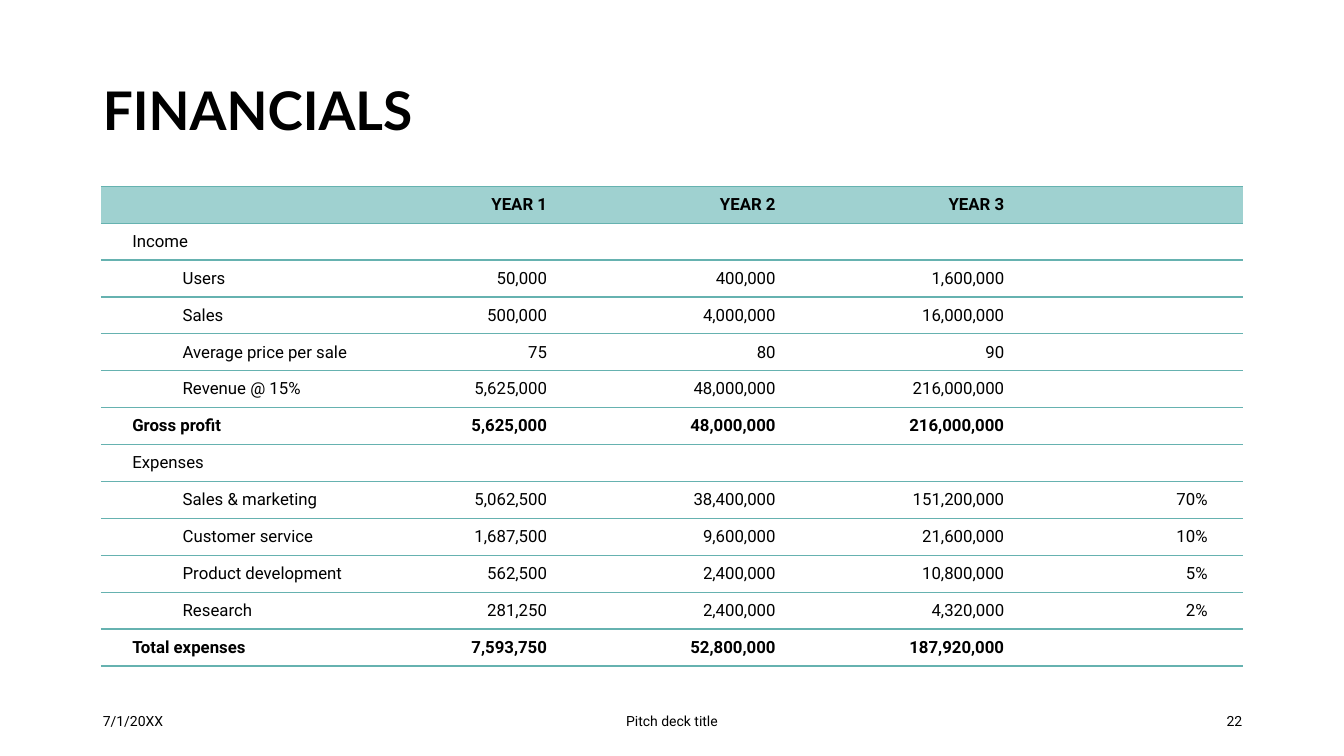
from lxml.etree import SubElement
from pptx import Presentation
from pptx.dml.color import RGBColor
from pptx.enum.text import MSO_ANCHOR, PP_ALIGN
from pptx.oxml.ns import qn
from pptx.util import Pt

theme = {
    "ink": RGBColor.from_string("000000"),
    "header": RGBColor.from_string("9FD1D0"),
    "rule": "66B2B0",
    "heading_font": "Lato",
    "body_font": "Roboto",
    "title_size": 38,
    "table_size": 12,
    "footer_size": 10,
}

financials = [
    ("header", ["", "YEAR 1", "YEAR 2", "YEAR 3", ""]),
    ("section", ["Income", "", "", "", ""]),
    ("item", ["Users", "50,000", "400,000", "1,600,000", ""]),
    ("item", ["Sales", "500,000", "4,000,000", "16,000,000", ""]),
    ("item", ["Average price per sale", "75", "80", "90", ""]),
    ("item", ["Revenue @ 15%", "5,625,000", "48,000,000", "216,000,000", ""]),
    ("total", ["Gross profit", "5,625,000", "48,000,000", "216,000,000", ""]),
    ("section", ["Expenses", "", "", "", ""]),
    ("item", ["Sales & marketing", "5,062,500", "38,400,000", "151,200,000", "70%"]),
    ("item", ["Customer service", "1,687,500", "9,600,000", "21,600,000", "10%"]),
    ("item", ["Product development", "562,500", "2,400,000", "10,800,000", "5%"]),
    ("item", ["Research", "281,250", "2,400,000", "4,320,000", "2%"]),
    ("total", ["Total expenses", "7,593,750", "52,800,000", "187,920,000", ""]),
]
column_widths = [212.4, 113.6, 163.3, 163.3, 163.3]
row_height = 26.37


def add_text(paragraph, text, size, font_name, bold=False):
    run = paragraph.add_run()
    run.text = text
    run.font.size = Pt(size)
    run.font.name = font_name
    run.font.bold = bold
    run.font.color.rgb = theme["ink"]


def add_text_box(left, top, width, height, alignment):
    frame = slide.shapes.add_textbox(Pt(left), Pt(top), Pt(width), Pt(height)).text_frame
    frame.word_wrap = True
    frame.vertical_anchor = MSO_ANCHOR.MIDDLE
    frame.paragraphs[0].alignment = alignment
    return frame.paragraphs[0]


presentation = Presentation()
presentation.slide_width = Pt(960)
presentation.slide_height = Pt(540)
slide = presentation.slides.add_slide(presentation.slide_layouts[6])

title = add_text_box(66.4, 28.8, 828, 104.4, PP_ALIGN.LEFT)
title.line_spacing = 0.9
add_text(title, "FINANCIALS", theme["title_size"], theme["heading_font"], True)

table = slide.shapes.add_table(
    len(financials), len(column_widths), Pt(72), Pt(133),
    Pt(sum(column_widths)), Pt(row_height * len(financials)),
).table
table.horz_banding = False
for column, width in zip(table.columns, column_widths):
    column.width = Pt(width)

for row_index, (kind, values) in enumerate(financials):
    table.rows[row_index].height = Pt(row_height)
    for column_index, value in enumerate(values):
        cell = table.cell(row_index, column_index)
        cell.vertical_anchor = MSO_ANCHOR.MIDDLE
        cell.margin_left = Pt(22.5 if column_index == 0 else 7.2)
        cell.margin_right = Pt(25.2 if column_index == 4 else 7.2)
        cell.margin_top = cell.margin_bottom = Pt(3.6)

        properties = cell._tc.get_or_add_tcPr()
        for side in ("a:lnL", "a:lnR"):
            SubElement(SubElement(properties, qn(side), w="0"), qn("a:noFill"))
        for side in ("a:lnT", "a:lnB"):
            line = SubElement(properties, qn(side), w=str(Pt(1)))
            SubElement(SubElement(line, qn("a:solidFill")), qn("a:srgbClr"), val=theme["rule"])
        if kind == "header":
            cell.fill.solid()
            cell.fill.fore_color.rgb = theme["header"]
        else:
            cell.fill.background()

        paragraph = cell.text_frame.paragraphs[0]
        paragraph.alignment = PP_ALIGN.RIGHT if column_index else PP_ALIGN.LEFT
        if kind == "item" and column_index == 0:
            paragraph.level = 1
            paragraph._p.get_or_add_pPr().set("marL", str(Pt(36)))
        if value:
            add_text(paragraph, value, theme["table_size"], theme["body_font"],
                     kind in ("header", "total"))
        else:
            SubElement(paragraph._p, qn("a:endParaRPr"), sz=str(theme["table_size"] * 100))

for left, width, alignment, text in [
    (66.4, 216, PP_ALIGN.LEFT, "7/1/20XX"),
    (318, 324, PP_ALIGN.CENTER, "Pitch deck title"),
    (678.4, 216, PP_ALIGN.RIGHT, "22"),
]:
    footer = add_text_box(left, 500.5, width, 28.8, alignment)
    add_text(footer, text, theme["footer_size"], theme["body_font"])

presentation.save("out.pptx")
